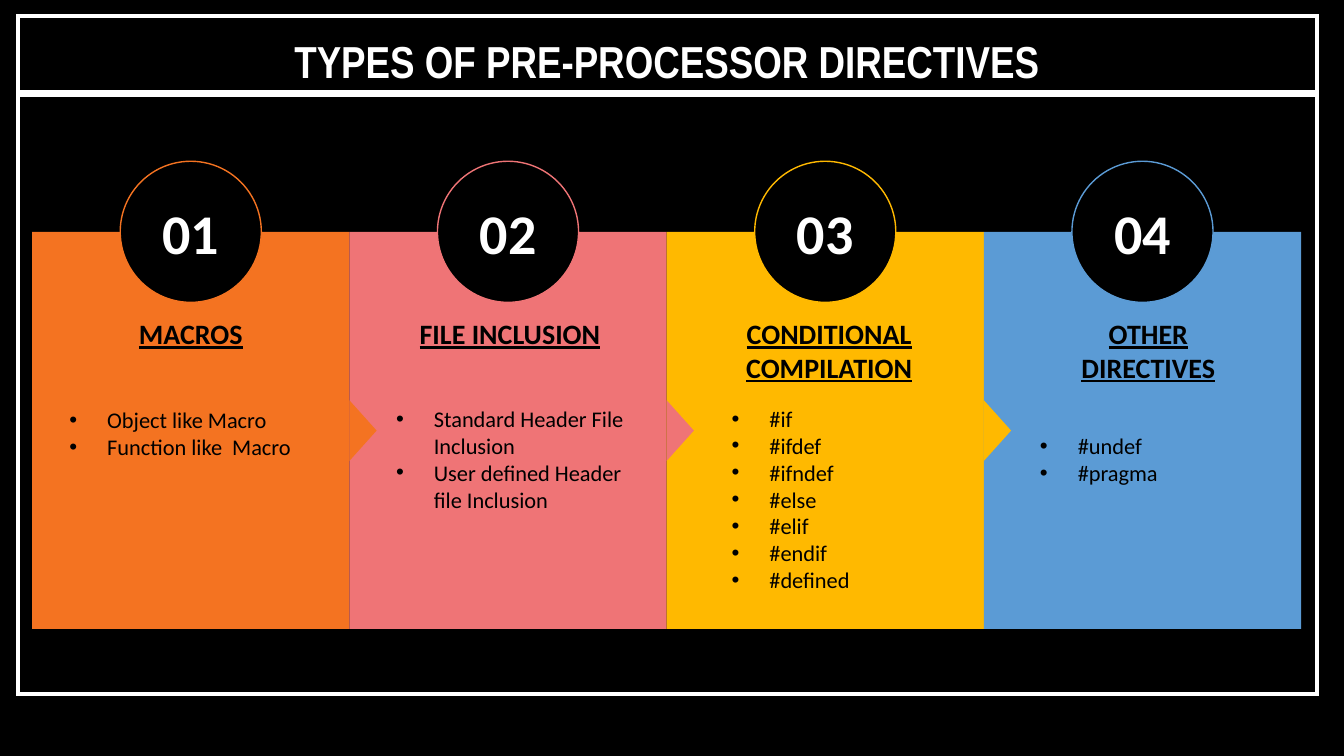
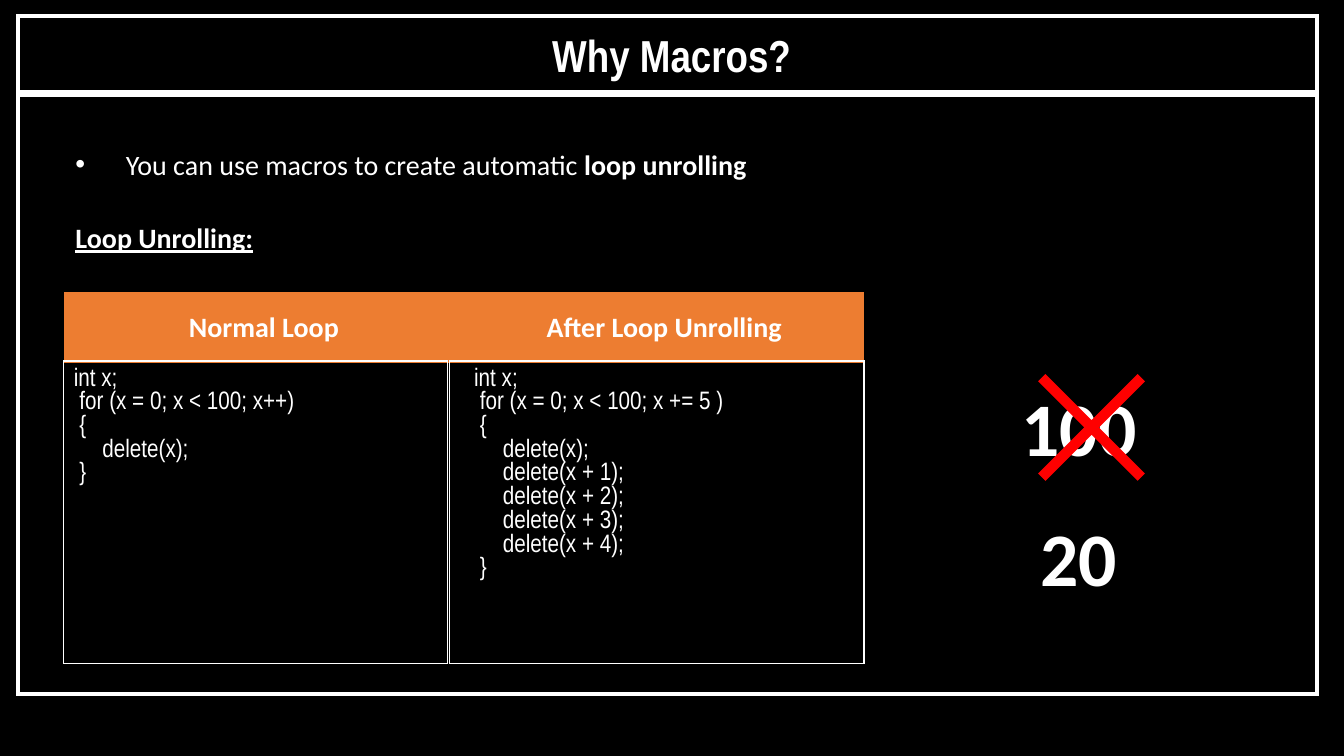
from dataclasses import dataclass

from lxml.etree import SubElement
from pptx import Presentation
from pptx.dml.color import RGBColor
from pptx.enum.shapes import MSO_CONNECTOR, MSO_SHAPE
from pptx.enum.text import MSO_ANCHOR, MSO_AUTO_SIZE, PP_ALIGN
from pptx.oxml.ns import qn
from pptx.util import Pt


@dataclass(frozen=True)
class Theme:
    black: str = "000000"
    white: str = "FFFFFF"
    orange: str = "F47321"
    pink: str = "EF7476"
    yellow: str = "FFB900"
    blue: str = "5B9BD5"
    header: str = "ED7D31"
    red: str = "FF0000"
    heading_font: str = "Arial Narrow"
    body_font: str = "Calibri"
    title_size: int = 32
    number_size: int = 40
    count_size: int = 54
    body_size: int = 20
    code_size: int = 18
    list_size: int = 16


THEME = Theme()
PLAIN_TABLE_STYLE = "{2D5ABB26-0587-4C30-8999-92F81FD0307C}"

CARD_LEFT, CARD_TOP = 23, 165.6
CARD_WIDTH, CARD_HEIGHT = 226.6, 283.6
CIRCLE_SIZE = 100.8
LABEL_WIDTH = 147
HEADING_PITCH = 228
ARROW_LENGTH, ARROW_SPAN = 19.4, 43.2
ARROW_CENTER = 307.6

CARDS = [
    ("MACROS", THEME.orange, (42.5, 286.6, 245, 46),
     ["Object like Macro", "Function like  Macro"]),
    ("FILE INCLUSION", THEME.pink, (275.8, 285.8, 181.4, 85),
     ["Standard Header File Inclusion", "User defined Header file Inclusion"]),
    ("CONDITIONAL COMPILATION", THEME.yellow, (515.5, 285.8, 117.4, 163),
     ["#if", "#ifdef", "#ifndef", "#else", "#elif", "#endif", "#defined"]),
    ("OTHER DIRECTIVES", THEME.blue, (735.8, 305.3, 117.4, 46),
     ["#undef", "#pragma"]),
]

LOOPS = [
    ("Normal Loop",
     ["int x;", " for (x = 0; x < 100; x++)", " {", "     delete(x);", " }"]),
    ("After Loop Unrolling",
     ["int x;", " for (x = 0; x < 100; x += 5 )", " {", "     delete(x);",
      "     delete(x + 1);", "     delete(x + 2);", "     delete(x + 3);",
      "     delete(x + 4);", " }"]),
]


def points(*lengths):
    return [Pt(length) for length in lengths]


def style_paragraph(paragraph, size, color, bold=False, underline=False,
                    align=PP_ALIGN.LEFT, name=THEME.body_font):
    paragraph.alignment = align
    font = paragraph.font
    font.name = name
    font.size = Pt(size)
    font.bold = bold
    font.underline = underline
    font.color.rgb = RGBColor.from_string(color)


def add_bullet(paragraph, indent):
    properties = paragraph._p.get_or_add_pPr()
    properties.set("marL", str(Pt(indent)))
    properties.set("indent", str(-Pt(indent)))
    SubElement(properties, qn("a:buFont"), typeface="Arial")
    SubElement(properties, qn("a:buChar"), char="•")


def write_lines(text_frame, lines, indent=0, **style):
    text_frame.word_wrap = True
    for index, line in enumerate(lines):
        paragraph = text_frame.paragraphs[0] if index == 0 else text_frame.add_paragraph()
        paragraph.add_run().text = line
        if indent:
            add_bullet(paragraph, indent)
        style_paragraph(paragraph, **style)


def add_text(slide, box, lines, **style):
    text_frame = slide.shapes.add_textbox(*points(*box)).text_frame
    write_lines(text_frame, lines, **style)
    return text_frame


def add_box(slide, kind, box, fill=None, line=None, line_width=1):
    shape = slide.shapes.add_shape(kind, *points(*box))
    shape.shadow.inherit = False
    if fill:
        shape.fill.solid()
        shape.fill.fore_color.rgb = RGBColor.from_string(fill)
    else:
        shape.fill.background()
    if line:
        shape.line.color.rgb = RGBColor.from_string(line)
        shape.line.width = Pt(line_width)
        SubElement(shape._element.spPr.find(qn("a:ln")), qn("a:miter"), lim="800000")
    else:
        shape.line.fill.background()
    return shape


def add_rule(slide, start, end, y, width):
    rule = slide.shapes.add_connector(MSO_CONNECTOR.STRAIGHT, *points(start, y, end, y))
    rule.line.color.rgb = RGBColor.from_string(THEME.white)
    rule.line.width = Pt(width)
    SubElement(rule._element.spPr, qn("a:effectLst"))


def add_framed_slide(presentation, title, title_box):
    slide = presentation.slides.add_slide(presentation.slide_layouts[5])
    add_box(slide, MSO_SHAPE.RECTANGLE, (13, 11.5, 928, 484),
            line=THEME.white, line_width=3)
    placeholder = slide.shapes.title
    placeholder.left, placeholder.top, placeholder.width, placeholder.height = points(*title_box)
    text_frame = placeholder.text_frame
    text_frame.auto_size = MSO_AUTO_SIZE.NONE
    text_frame.vertical_anchor = MSO_ANCHOR.TOP
    write_lines(text_frame, [title], size=THEME.title_size, color=THEME.white,
                bold=True, align=PP_ALIGN.CENTER, name=THEME.heading_font)
    add_rule(slide, 11.5, 941, 67, 5)
    return slide


def add_arrow(slide, edge, color):
    left = edge + (ARROW_LENGTH - ARROW_SPAN) / 2
    top = ARROW_CENTER - ARROW_LENGTH / 2
    arrow = add_box(slide, MSO_SHAPE.ISOSCELES_TRIANGLE,
                    (left, top, ARROW_SPAN, ARROW_LENGTH), fill=color)
    arrow.rotation = 90


def add_card_text(slide, index, heading, color, list_box, items):
    left = CARD_LEFT + index * CARD_WIDTH
    label_inset = (CARD_WIDTH - LABEL_WIDTH) / 2
    add_box(slide, MSO_SHAPE.OVAL,
            (left + (CARD_WIDTH - CIRCLE_SIZE) / 2, CARD_TOP - CIRCLE_SIZE / 2,
             CIRCLE_SIZE, CIRCLE_SIZE),
            fill=THEME.black, line=color)
    add_text(slide, (left + label_inset, 138.2, LABEL_WIDTH, 55.4), [f"{index + 1:02}"],
             size=THEME.number_size, color=THEME.white, bold=True, align=PP_ALIGN.CENTER)
    heading_left = CARD_LEFT + label_inset + index * HEADING_PITCH
    add_text(slide, (heading_left, 222.5, LABEL_WIDTH, 55.4), [heading],
             size=THEME.body_size, color=THEME.black, bold=True, underline=True,
             align=PP_ALIGN.CENTER)
    add_text(slide, list_box, items, indent=27, size=THEME.list_size, color=THEME.black)


def build_directives(presentation):
    slide = add_framed_slide(presentation, "TYPES OF PRE-PROCESSOR DIRECTIVES",
                             (175.7, 20.5, 602, 46))
    for index, (_, color, _, _) in enumerate(CARDS):
        add_box(slide, MSO_SHAPE.RECTANGLE,
                (CARD_LEFT + index * CARD_WIDTH, CARD_TOP, CARD_WIDTH, CARD_HEIGHT),
                fill=color)
    for index, (_, color, _, _) in enumerate(CARDS[:-1], start=1):
        add_arrow(slide, CARD_LEFT + index * CARD_WIDTH, color)
    for index, card in enumerate(CARDS):
        add_card_text(slide, index, *card)


def add_loop_table(slide):
    graphic_frame = slide.shapes.add_table(2, 2, *points(45.5, 208.8, 572, 265.7))
    table = graphic_frame.table
    table._tbl.tblPr.find(qn("a:tableStyleId")).text = PLAIN_TABLE_STYLE
    table.horz_banding = False
    table.rows[0].height, table.rows[1].height = points(50.4, 215.3)
    for column, (heading, code) in enumerate(LOOPS):
        header, body = table.cell(0, column), table.cell(1, column)
        header.fill.solid()
        header.fill.fore_color.rgb = RGBColor.from_string(THEME.header)
        header.vertical_anchor = MSO_ANCHOR.MIDDLE
        write_lines(header.text_frame, [heading], size=THEME.body_size,
                    color=THEME.white, bold=True, align=PP_ALIGN.CENTER)
        body.fill.background()
        write_lines(body.text_frame, code, size=THEME.code_size,
                    color=THEME.white, name=THEME.heading_font)


def build_loop_unrolling(presentation):
    slide = add_framed_slide(presentation, "Why Macros?", (72.7, 16.5, 814.3, 46))
    claim = add_text(slide, (46.8, 101.5, 594, 31.5),
                     ["You can use macros to create automatic "],
                     indent=36, size=THEME.body_size, color=THEME.white)
    emphasis = claim.paragraphs[0].add_run()
    emphasis.text = "loop unrolling"
    emphasis.font.bold = True
    add_text(slide, (46.8, 154, 594, 31.5), ["Loop Unrolling:"],
             size=THEME.body_size, color=THEME.white, bold=True, underline=True)
    add_loop_table(slide)
    for count, top in (("100", 268.5), ("20", 361.5)):
        add_text(slide, (680.4, top, 180.7, 72.7), [count], size=THEME.count_size,
                 color=THEME.white, bold=True, align=PP_ALIGN.CENTER)
    cross = add_box(slide, MSO_SHAPE.MATH_MULTIPLY, (712, 237.6, 135.4, 135.4),
                    fill=THEME.red, line=THEME.red)
    cross.adjustments[0] = 0.047
    for left, width in ((45.4, 274.4), (321.1, 296)):
        add_box(slide, MSO_SHAPE.RECTANGLE, (left, 257.8, width, 216), line=THEME.white)


def main():
    presentation = Presentation()
    presentation.slide_width, presentation.slide_height = points(960, 540)
    background = presentation.slide_master.background.fill
    background.solid()
    background.fore_color.rgb = RGBColor.from_string(THEME.black)
    build_directives(presentation)
    build_loop_unrolling(presentation)
    presentation.save("out.pptx")


if __name__ == "__main__":
    main()
